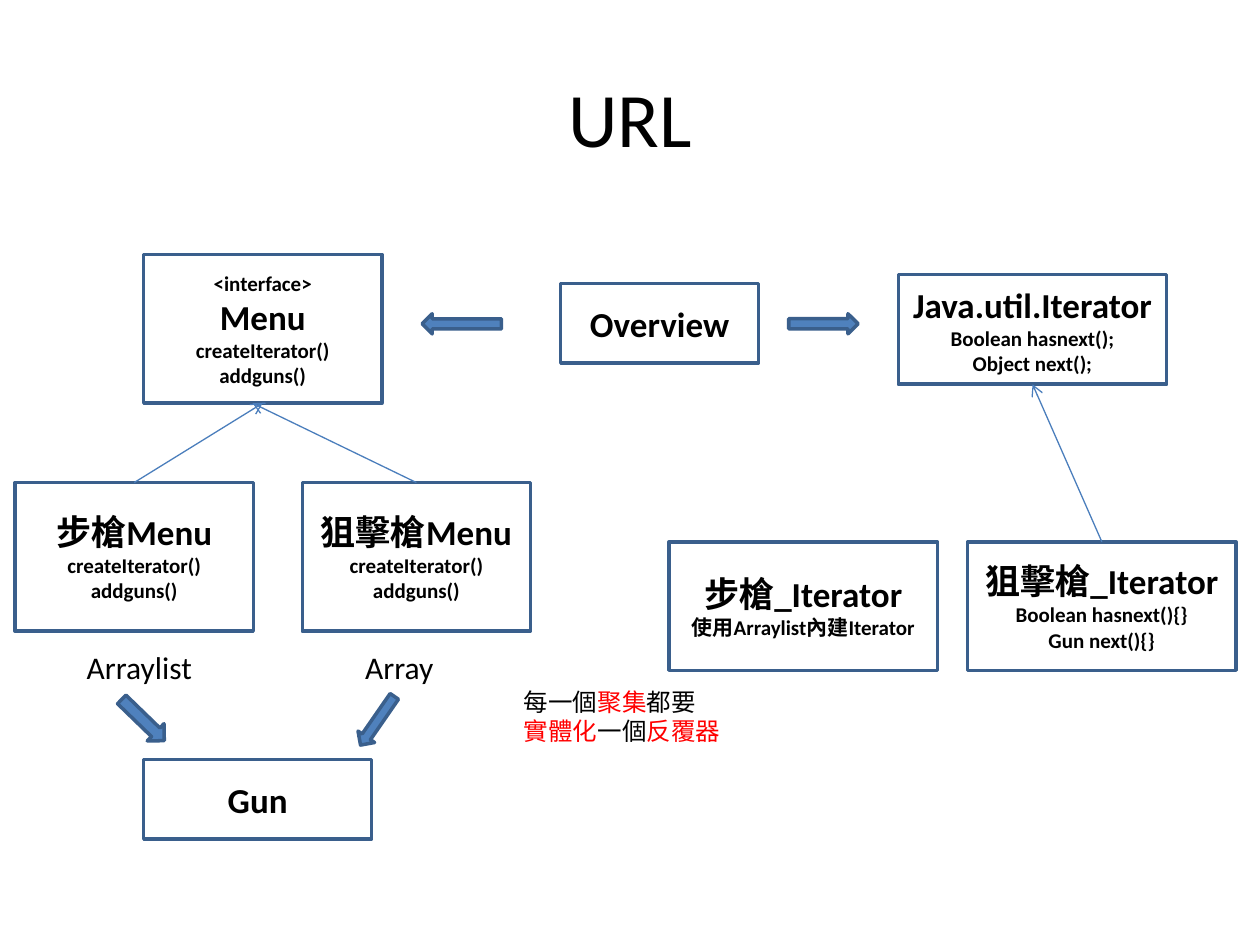
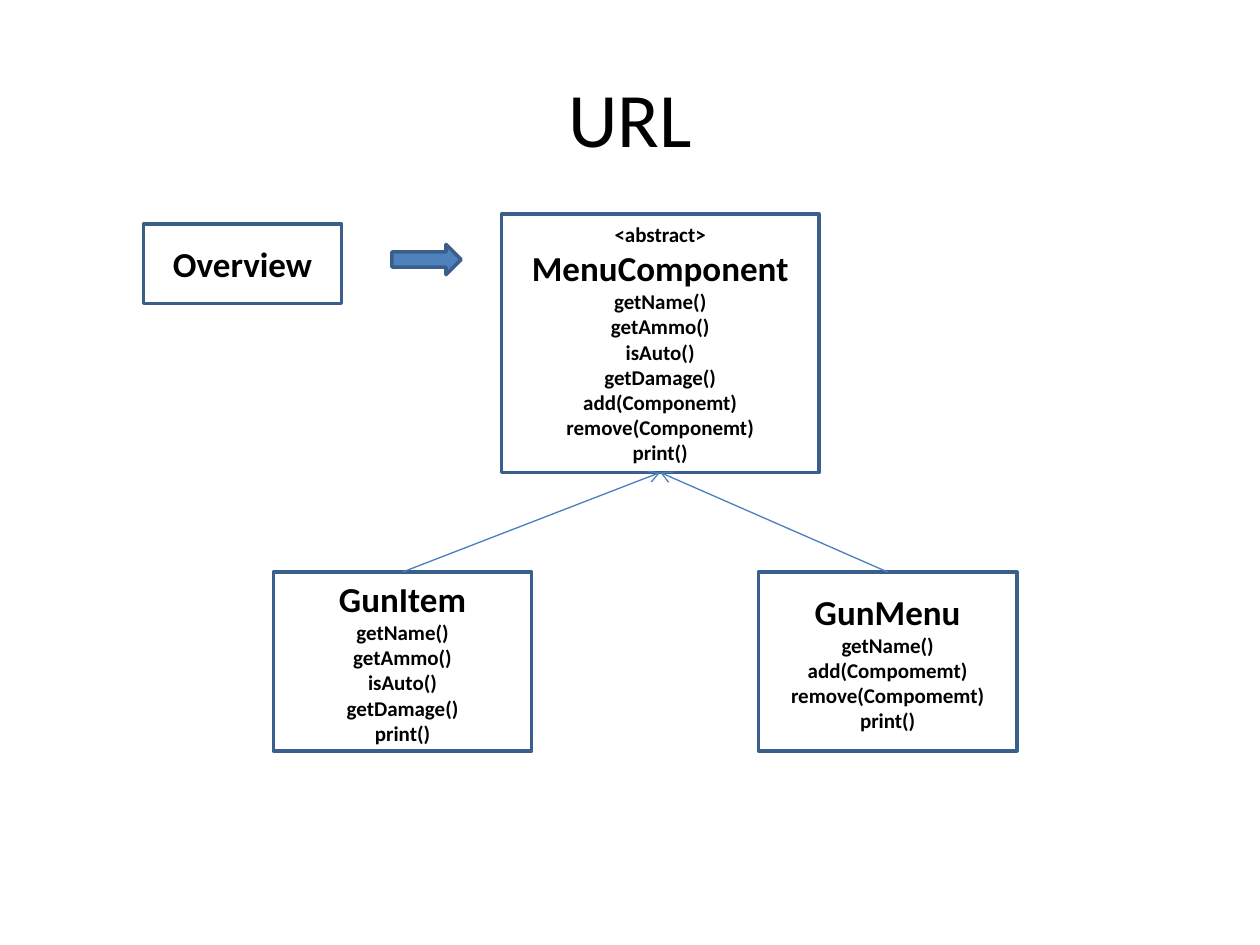
import pptx
import pptx.util
import pptx.dml.color
import pptx.enum.shapes
import pptx.enum.text
import pptx.oxml

INK = {"text": "000000", "edge": "3A5F8C", "link": "4B7EBC",
       "arrow": "4F81BD", "red": "FF0000"}
FONT = "Calibri"
BIG, SMALL = 20, 12
MAKERS = ["createIterator()", "addguns()"]
GETTERS = ["getName()", "getAmmo()", "isAuto()", "getDamage()"]
KINDS = pptx.enum.shapes.MSO_SHAPE
CENTER = pptx.enum.text.PP_ALIGN.CENTER
MIDDLE = pptx.enum.text.MSO_ANCHOR.MIDDLE
Inches = pptx.util.Inches
Pt = pptx.util.Pt


def tint(name):
    """Return the named colour."""
    return pptx.dml.color.RGBColor.from_string(INK[name])


def write(par, text, size, bold=False, ink="text"):
    """Add one styled run to a paragraph."""
    run = par.add_run()
    run.text = text
    run.font.name = FONT
    run.font.size = Pt(size)
    run.font.bold = bold
    run.font.color.rgb = tint(ink)


def lines(frame, count):
    """Yield the given number of paragraphs of a text frame."""
    yield frame.paragraphs[0]
    for _ in range(count - 1):
        yield frame.add_paragraph()


def shape(slide, kind, box):
    """Add a preset shape with the shared edge and no shadow."""
    item = slide.shapes.add_shape(kind, *map(Inches, box))
    item.shadow.inherit = False
    item.line.color.rgb = tint("edge")
    item.line.width = Pt(2)
    return item


def node(slide, box, name, parts=(), tag=None):
    """Add a class box: optional tag, large name, small members."""
    item = shape(slide, KINDS.FLOWCHART_PROCESS, box)
    item.fill.background()
    frame = item.text_frame
    frame.word_wrap = True
    frame.vertical_anchor = MIDDLE
    rows = [(tag, SMALL)] if tag else []
    rows += [(name, BIG)] + [(part, SMALL) for part in parts]
    for par, (text, size) in zip(lines(frame, len(rows)), rows):
        par.alignment = CENTER
        write(par, text, size, True)
    return item


def arrow(slide, box, turn=0):
    """Add a block arrow turned by the given degrees."""
    item = shape(slide, KINDS.RIGHT_ARROW, box)
    item.fill.solid()
    item.fill.fore_color.rgb = tint("arrow")
    item.rotation = turn


def link(slide, child, parent, shift=0):
    """Draw an arrow from the top of a child to the foot of its parent."""
    line = slide.shapes.add_connector(
        pptx.enum.shapes.MSO_CONNECTOR.STRAIGHT,
        child.left + child.width // 2, child.top,
        parent.left + parent.width // 2 + Inches(shift),
        parent.top + parent.height)
    line.line.color.rgb = tint("link")
    line.line.width = Pt(0.75)
    edge = line.line._get_or_add_ln()
    space = pptx.oxml.ns.nsdecls("a")
    edge.append(pptx.oxml.parse_xml(f'<a:tailEnd {space} type="arrow"/>'))
    edge.addnext(pptx.oxml.parse_xml(f"<a:effectLst {space}/>"))


def label(slide, box, rows, size):
    """Add an unwrapped text box from rows of (text, ink) runs."""
    frame = slide.shapes.add_textbox(*map(Inches, box)).text_frame
    frame.word_wrap = False
    for par, row in zip(lines(frame, len(rows)), rows):
        for text, ink in row:
            write(par, text, size, ink=ink)


def menus(slide, box):
    """Draw the menu family, its stores and the gun they hold."""
    x, y, w, h = box
    root = node(slide, (x + 1.02, y, 1.89, 1.18), "Menu", MAKERS, "<interface>")
    low = y + 1.81
    rifle = node(slide, (x, low, 1.89, 1.18), "步槍Menu", MAKERS)
    sniper = node(slide, (x + w - 1.81, low, 1.81, 1.18), "狙擊槍Menu", MAKERS)
    link(slide, rifle, root)
    link(slide, sniper, root, -0.08)
    for left, wide, text in ((0.47, 1.04, "Arraylist"), (2.68, 0.75, "Array")):
        label(slide, (x + left, y + 3.07, wide, 0.4), [[(text, "text")]], 18)
    arrow(slide, (x + 0.78, y + 3.6, 0.47, 0.19), 44.1)
    arrow(slide, (x + 2.64, y + 3.62, 0.47, 0.16), 124.7)
    node(slide, (x + 1.02, y + h - 0.63, 1.81, 0.63), "Gun")


def readers(slide, box):
    """Draw the iterator interface above its two versions."""
    x, y, w, h = box
    root = node(slide, (x + 1.82, y, 2.13, 0.87), "Java.util.Iterator",
                ["Boolean hasnext();", "Object next();"])
    low = y + h - 1.02
    node(slide, (x, low, 2.13, 1.02), "步槍_Iterator",
         ["使用Arraylist內建Iterator"])
    sniper = node(slide, (x + w - 2.13, low, 2.13, 1.02), "狙擊槍_Iterator",
                  ["Boolean hasnext(){}", "Gun next(){}"])
    link(slide, sniper, root)


def viewer(slide, box):
    """Draw the overview box with an arrow to each side."""
    x, y, w, h = box
    node(slide, box, "Overview")
    arrow(slide, (x - 1.1, y + 0.24, 0.63, 0.16), 180)
    arrow(slide, (x + w + 0.24, y + 0.24, 0.55, 0.16))


def remark(slide, box):
    """Add the note on aggregates and iterators."""
    label(slide, box, [
        [("每一個", "text"), ("聚集", "red"), ("都要", "text")],
        [("實體化", "red"), ("一個", "text"), ("反覆器", "red")]], 14)


def tree(slide, box):
    """Draw the abstract component above its two children."""
    x, y, w, h = box
    root = node(slide, (x + 1.81, y, 2.52, 2.05), "MenuComponent",
                GETTERS + ["add(Componemt)", "remove(Componemt)", "print()"],
                "<abstract>")
    kids = (("GunItem", GETTERS + ["print()"]),
            ("GunMenu", ["getName()", "add(Compomemt)",
                         "remove(Compomemt)", "print()"]))
    for i, (name, parts) in enumerate(kids):
        spot = (x + i * (w - 2.05), y + h - 1.42, 2.05, 1.42)
        link(slide, node(slide, spot, name, parts), root)


def page(deck, text):
    """Add a slide with the shared title style."""
    slide = deck.slides.add_slide(deck.slide_layouts[5])
    title = slide.shapes.title
    title.left, title.top, title.width, title.height = map(
        Inches, (0.5, 0.3, 9, 1.25))
    title.text_frame.vertical_anchor = MIDDLE
    par = title.text_frame.paragraphs[0]
    par.alignment = CENTER
    write(par, text, 44)
    return slide


def main():
    """Build both slides and save the deck."""
    deck = pptx.Presentation()
    deck.slide_width, deck.slide_height = Inches(10), Inches(7.5)
    first = page(deck, "URL")
    menus(first, (0.12, 2.02, 4.09, 4.64))
    viewer(first, (4.45, 2.25, 1.57, 0.63))
    readers(first, (5.31, 2.18, 4.5, 3.14))
    remark(first, (4.06, 5.4, 1.77, 0.57))
    second = page(deck, "URL")
    tree(second, (2.17, 1.7, 5.9, 4.26))
    node(second, (1.14, 1.78, 1.57, 0.63), "Overview")
    arrow(second, (3.11, 1.94, 0.55, 0.24))
    deck.save("out.pptx")


if __name__ == "__main__":
    main()
